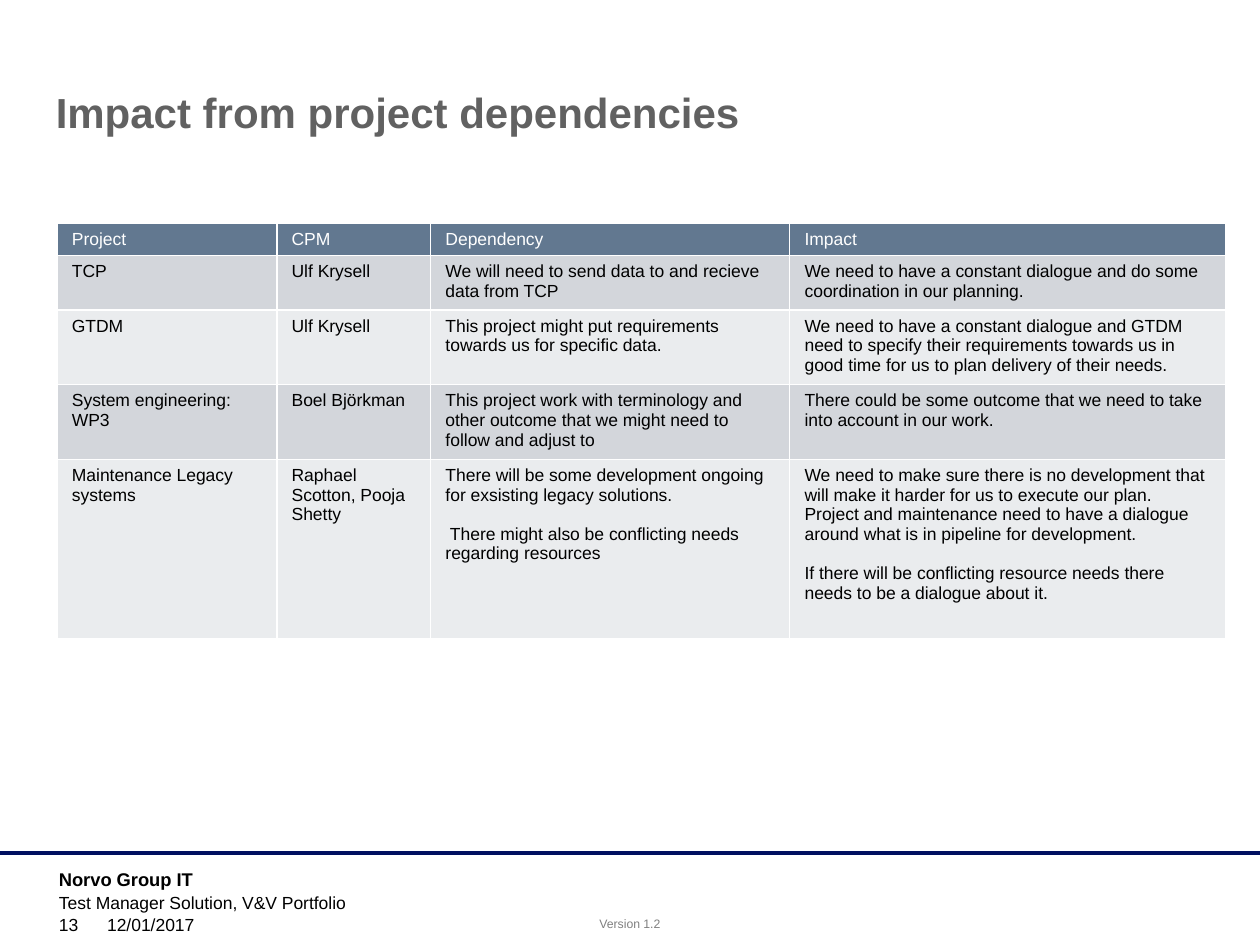
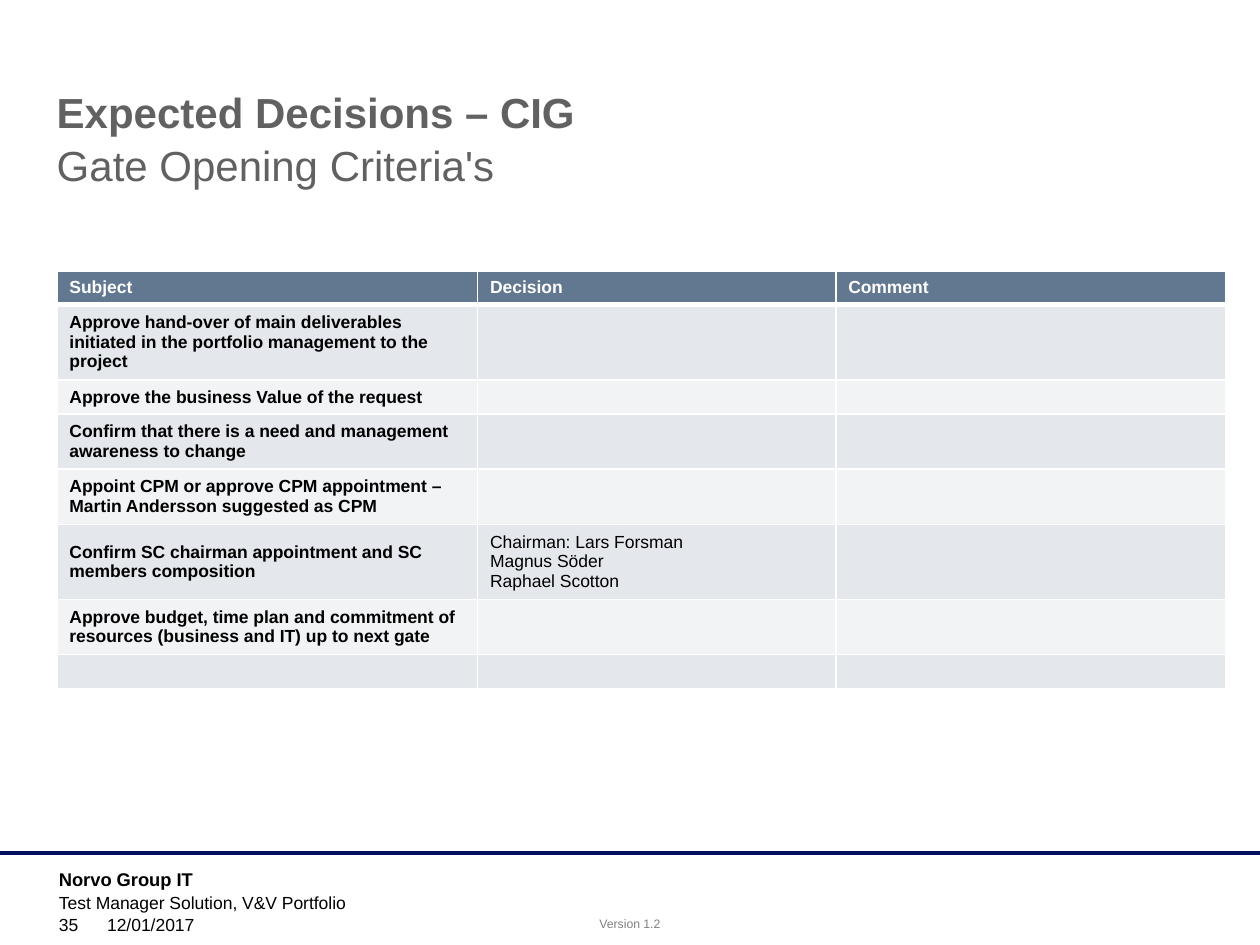
from lxml.etree import SubElement
from pptx import Presentation
from pptx.dml.color import RGBColor
from pptx.enum.shapes import MSO_CONNECTOR as Connector
from pptx.enum.text import MSO_ANCHOR as Anchor, PP_ALIGN as Align
from pptx.oxml.ns import qn
from pptx.util import Cm, Pt

FONT = "Arial"
BLACK = RGBColor(0x00, 0x00, 0x00)
WHITE = RGBColor(0xFF, 0xFF, 0xFF)
GREY = RGBColor(0x80, 0x80, 0x80)
TITLE_GREY = RGBColor(0x61, 0x61, 0x61)
NAVY = RGBColor(0x00, 0x0F, 0x60)
HEADER_BLUE = RGBColor(0x62, 0x78, 0x90)
DARK_BAND = RGBColor(0xD3, 0xD6, 0xDB)
MID_BAND = RGBColor(0xEA, 0xEC, 0xEE)
LIGHT_BAND = RGBColor(0xE4, 0xE7, 0xEB)
PALE_BAND = RGBColor(0xF2, 0xF3, 0xF5)

WIDTH, HEIGHT = 25.4, 19.05
TABLE_LEFT = 1.15
LINE_GAP = 11.15

PAGES = [
    {
        "number": "13",
        "title": ["Impact from project dependencies"],
        "title_left": 0.87,
        "top": 4.5,
        "columns": [4.43, 3.1, 7.24, 8.78],
        "heights": [0.65, 1.09, 1.51, 1.51, 3.62],
        "bands": [DARK_BAND, MID_BAND],
        "anchor": Anchor.TOP,
        "side_margin": 0.3,
        "header_rule": 1,
        "bold_columns": 0,
        "bold_header": False,
        "paragraph_gap": LINE_GAP,
        "rows": [
            ["Project", "CPM", "Dependency", "Impact"],
            ["TCP", "Ulf Krysell",
             "We will need to send data to and recieve data from TCP",
             "We need to have a constant dialogue and do some coordination in our planning."],
            ["GTDM", "Ulf Krysell",
             "This project might put requirements towards us for specific data.",
             "We need to have a constant dialogue and GTDM need to specify their "
             "requirements towards us in good time for us to plan delivery of their needs."],
            ["System engineering: WP3", "Boel Björkman",
             "This project work with terminology and other outcome that we might need to "
             "follow and adjust to",
             "There could be some outcome that we need to take into account in our work."],
            ["Maintenance Legacy systems", "Raphael Scotton, Pooja Shetty",
             "There will be some development ongoing for exsisting legacy solutions.\n"
             " There might also be conflicting needs regarding resources",
             "We need to make sure there is no development that will make it harder for us "
             "to execute our plan. Project and maintenance need to have a dialogue around "
             "what is in pipeline for development.\n"
             "If there will be conflicting resource needs there needs to be a dialogue "
             "about it."],
        ],
    },
    {
        "number": "35",
        "title": ["Expected Decisions – CIG", "Gate Opening Criteria's"],
        "title_left": 0.89,
        "top": 5.47,
        "columns": [8.48, 7.22, 7.85],
        "heights": [0.67, 1.52, 0.69, 1.11, 1.11, 1.52, 1.11, 0.66],
        "bands": [LIGHT_BAND, PALE_BAND],
        "anchor": Anchor.MIDDLE,
        "side_margin": 0.25,
        "header_rule": 3,
        "bold_columns": 1,
        "bold_header": True,
        "paragraph_gap": 0,
        "rows": [
            ["Subject", "Decision", "Comment"],
            ["Approve hand-over of main deliverables initiated in the portfolio "
             "management to the project", "", ""],
            ["Approve the business Value of the request", "", ""],
            ["Confirm that there is a need and management awareness to change", "", ""],
            ["Appoint CPM or approve CPM appointment – Martin Andersson suggested as CPM",
             "", ""],
            ["Confirm SC chairman appointment and SC members composition",
             "Chairman: Lars Forsman\nMagnus Söder\nRaphael Scotton", ""],
            ["Approve budget, time plan and commitment of resources (business and IT) "
             "up to next gate", "", ""],
            ["", "", ""],
        ],
    },
]

FOOTER = [
    ("Norvo Group IT", (0.94, 17.37, 5.92, 0.61), {"size": 10.5, "bold": True}),
    ("Test Manager Solution, V&V Portfolio", (0.94, 17.86, 19.1, 0.61), {}),
    ("Version 1.2", (10.7, 18.34, 4, 0.56),
     {"size": 7, "color": GREY, "align": Align.CENTER}),
    ("12/01/2017", (1.91, 18.39, 6.68, 0.58), {"anchor": Anchor.BOTTOM}),
]
NUMBER_PLACE = (0.94, 18.39, 1.4, 0.58)


def add_span(para, text, size=10, color=BLACK, bold=False):
    span = para.add_run()
    span.text = text
    span.font.name = FONT
    span.font.size = Pt(size)
    span.font.bold = bold
    span.font.color.rgb = color


def write(frame, text, align=Align.LEFT, gap=0, **style):
    for index, line in enumerate(text.split("\n")):
        para = frame.add_paragraph() if index else frame.paragraphs[0]
        para.alignment = align
        if index and gap:
            para.space_before = Pt(gap)
        if line:
            add_span(para, line, **style)
        else:
            SubElement(para._p, qn("a:endParaRPr"), sz="1000")


def add_text(page, text, place, anchor=Anchor.TOP, **style):
    box = page.shapes.add_textbox(*map(Cm, place))
    box.text_frame.word_wrap = True
    box.text_frame.vertical_anchor = anchor
    write(box.text_frame, text, **style)


def add_title(page, lines, left):
    title = page.shapes.title
    title.left, title.top, title.width, title.height = map(Cm, (left, 1.57, 23.4, 2.13))
    title.text_frame.vertical_anchor = Anchor.TOP
    para = title.text_frame.paragraphs[0]
    para.alignment = Align.LEFT
    para.line_spacing = 1.05
    for index, line in enumerate(lines):
        if index:
            para.add_line_break()
        add_span(para, line, size=24, color=TITLE_GREY, bold=index == 0)


def add_footer(page, number):
    rule = page.shapes.add_connector(
        Connector.STRAIGHT, Cm(0), Cm(17.2), Cm(WIDTH), Cm(17.2))
    rule.line.color.rgb = NAVY
    rule.line.width = Pt(2)
    SubElement(rule._element.spPr, qn("a:effectLst"))
    for text, place, style in FOOTER:
        add_text(page, text, place, **style)
    add_text(page, number, NUMBER_PLACE, anchor=Anchor.BOTTOM)


def add_borders(cell, top, bottom):
    properties = cell._tc.get_or_add_tcPr()
    for side, width in (("L", 1), ("R", 1), ("T", top), ("B", bottom)):
        line = SubElement(properties, qn(f"a:ln{side}"), w=str(Pt(width)))
        SubElement(SubElement(line, qn("a:solidFill")), qn("a:srgbClr"), val=str(WHITE))


def add_grid(page, content):
    rows, columns, heights = content["rows"], content["columns"], content["heights"]
    grid = page.shapes.add_table(
        len(rows), len(columns), Cm(TABLE_LEFT), Cm(content["top"]),
        Cm(sum(columns)), Cm(sum(heights))).table
    grid.first_row = grid.horz_banding = False
    for column, width in zip(grid.columns, columns):
        column.width = Cm(width)
    for r, (texts, height) in enumerate(zip(rows, heights)):
        grid.rows[r].height = Cm(height)
        header = r == 0
        for c, text in enumerate(texts):
            cell = grid.cell(r, c)
            add_borders(cell,
                        top=content["header_rule"] if r == 1 else 1,
                        bottom=content["header_rule"] if header else 1)
            cell.fill.solid()
            cell.fill.fore_color.rgb = (
                HEADER_BLUE if header else content["bands"][(r - 1) % 2])
            cell.margin_left = cell.margin_right = Cm(content["side_margin"])
            cell.margin_top = cell.margin_bottom = Cm(0.13)
            cell.vertical_anchor = content["anchor"]
            write(cell.text_frame, text, gap=content["paragraph_gap"],
                  color=WHITE if header else BLACK,
                  bold=content["bold_header"] if header else c < content["bold_columns"])


def main():
    deck = Presentation()
    deck.slide_width, deck.slide_height = Cm(WIDTH), Cm(HEIGHT)
    for content in PAGES:
        page = deck.slides.add_slide(deck.slide_layouts[5])
        add_title(page, content["title"], content["title_left"])
        add_grid(page, content)
        add_footer(page, content["number"])
    deck.save("out.pptx")


if __name__ == "__main__":
    main()
